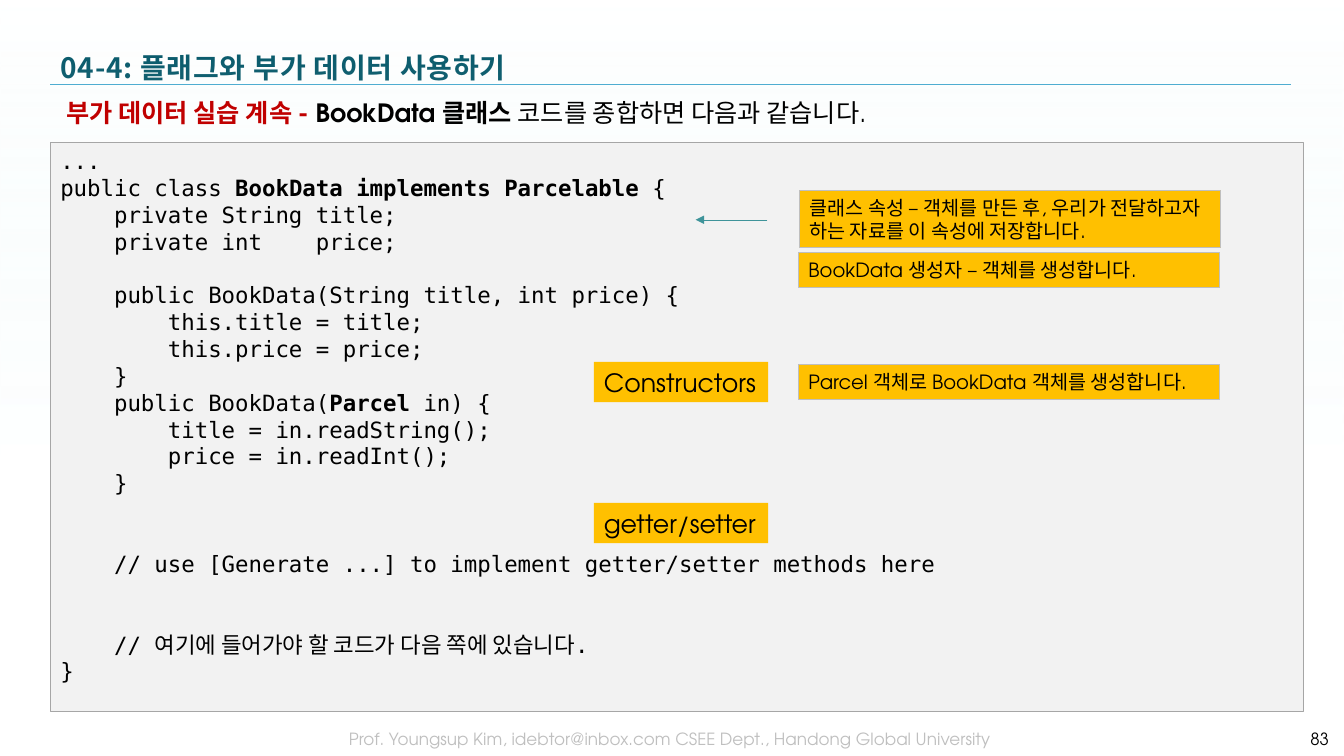
from lxml.etree import SubElement
from pptx import Presentation
from pptx.dml.color import RGBColor
from pptx.enum.shapes import MSO_CONNECTOR, MSO_SHAPE
from pptx.enum.text import MSO_ANCHOR, PP_ALIGN
from pptx.oxml.ns import qn
from pptx.util import Inches, Pt

COLORS = {
    "black": "000000", "white": "FFFFFF", "mint": "D9F3F4", "teal": "005466",
    "rule": "4FADD1", "arrow": "3F949A", "red": "C00000", "amber": "FFC000",
    "panel": "F2F2F2", "panel_edge": "A6A6A6", "silver": "BFBFBF",
}
BODY_FONT = "TeX Gyre Adventor"
CODE_FONT = "DejaVu Sans Mono"
KOREAN_FONT = "Noto Sans CJK KR"


def style(run, size, color="black", bold=False, font=BODY_FONT):
    run.font.size = Pt(size)
    run.font.bold = bold
    run.font.color.rgb = RGBColor.from_string(COLORS[color])
    run.font.name = font
    SubElement(run.font._element, qn("a:ea"), typeface=KOREAN_FONT)


def add_box(left, top, width, height, fill=None, edge=None):
    box = slide.shapes.add_shape(
        MSO_SHAPE.RECTANGLE, Inches(left), Inches(top), Inches(width), Inches(height))
    box.shadow.inherit = False
    if fill:
        box.fill.solid()
        box.fill.fore_color.rgb = RGBColor.from_string(COLORS[fill])
    else:
        box.fill.background()
    if edge:
        box.line.color.rgb = RGBColor.from_string(COLORS[edge])
        box.line.width = Pt(0.75)
    else:
        box.line.fill.background()
    frame = box.text_frame
    frame.word_wrap = True
    frame.vertical_anchor = MSO_ANCHOR.TOP
    frame.paragraphs[0].alignment = PP_ALIGN.LEFT
    return box


prs = Presentation()
prs.slide_width = Inches(13.33)
prs.slide_height = Inches(7.5)
slide = prs.slides.add_slide(prs.slide_layouts[5])

backdrop = add_box(0, 0, 13.33, 7.5)
backdrop.fill.gradient()
backdrop.fill.gradient_angle = 270
stops = [(0, "mint", 0), (0.61, "white", 40000)]
for stop, (position, color, alpha) in zip(backdrop.fill.gradient_stops, stops):
    stop.position = position
    stop.color.rgb = RGBColor.from_string(COLORS[color])
for srgb, (position, color, alpha) in zip(
        backdrop._element.spPr.iter(qn("a:srgbClr")), stops):
    SubElement(srgb, qn("a:alpha"), val=str(alpha))

title = slide.shapes.title
title.left, title.top = Inches(0.5), Inches(0.42)
title.width, title.height = Inches(12.3), Inches(0.5)
title.text_frame.text = "04-4: 플래그와 부가 데이터 사용하기"
title.text_frame.vertical_anchor = MSO_ANCHOR.MIDDLE
heading = title.text_frame.paragraphs[0]
heading.alignment = PP_ALIGN.LEFT
style(heading.runs[0], 20, "teal", True, KOREAN_FONT)
heading.runs[0].font._element.set("spc", "50")

summary = add_box(0.5, 0.92, 12.31, 0.46).text_frame.paragraphs[0]
summary._p.get_or_add_pPr().set("marL", str(Inches(0.06)))
for text, color, bold in [
    ("부가 데이터 실습 계속 - ", "red", True),
    ("BookData 클래스 ", "black", True),
    ("코드를 종합하면 다음과 같습니다.", "black", False),
]:
    run = summary.add_run()
    run.text = text
    style(run, 18, color, bold)

code_lines = [
    ["..."],
    ["public class ", "BookData implements Parcelable ", "{"],
    ["    private String title;"],
    ["    private int    price;"],
    [],
    ["    public BookData(String title, int price) {"],
    ["        this.title = title;"],
    ["        this.price = price;"],
    ["    }"],
    ["    public BookData(", "Parcel", " in) {"],
    ["        title = in.readString();"],
    ["        price = in.readInt();"],
    ["    }"],
    [],
    [],
    ["    // use [Generate ...] to implement getter/setter methods here"],
    [],
    [],
    ["    // 여기에 들어가야 할 코드가 다음 쪽에 있습니다."],
    ["}"],
]
code = add_box(0.5, 1.41, 12.43, 5.65, "panel", "panel_edge").text_frame
for index, pieces in enumerate(code_lines):
    line = code.add_paragraph() if index else code.paragraphs[0]
    line.alignment = PP_ALIGN.LEFT
    line.line_spacing = Pt(19.2)
    for position, text in enumerate(pieces):
        run = line.add_run()
        run.text = text
        style(run, 16, bold=position == 1, font=CODE_FONT)
    if not pieces:
        SubElement(line._p, qn("a:endParaRPr"), sz="1600")

for left, top, width, height, size, edge, text in [
    (7.93, 1.89, 4.18, 0.57, 14, "silver",
     "클래스 속성 – 객체를 만든 후, 우리가 전달하고자 하는 자료를 이 속성에 저장합니다."),
    (7.92, 3.62, 4.18, 0.34, 14, "silver", "Parcel 객체로 BookData 객체를 생성합니다."),
    (7.92, 2.51, 4.18, 0.34, 14, "silver", "BookData 생성자 – 객체를 생성합니다."),
    (5.89, 3.59, 1.73, 0.4, 18, None, "Constructors"),
    (5.89, 4.99, 1.73, 0.4, 18, None, "getter/setter"),
]:
    note = add_box(left, top, width, height, "amber", edge).text_frame
    note.word_wrap = edge is not None
    note.paragraphs[0].text = text
    style(note.paragraphs[0].runs[0], size)

for start, end, y, color in [(0.5, 12.8, 0.84, "rule"), (7.61, 6.9, 2.18, "arrow")]:
    stroke = slide.shapes.add_connector(
        MSO_CONNECTOR.STRAIGHT, Inches(start), Inches(y), Inches(end), Inches(y))
    stroke.line.color.rgb = RGBColor.from_string(COLORS[color])
    stroke.line.width = Pt(0.25)
    if color == "arrow":
        SubElement(stroke.line._get_or_add_ln(), qn("a:tailEnd"), type="triangle")
    SubElement(stroke._element.spPr, qn("a:effectLst"))

for left, top, width, height, color, align, text in [
    (2.43, 7.15, 8.43, 0.36, "silver", PP_ALIGN.CENTER,
     "Prof. Youngsup Kim, idebtor@inbox.com CSEE Dept., Handong Global University"),
    (12.11, 7.13, 1.17, 0.4, "black", PP_ALIGN.RIGHT, "83"),
]:
    footer = add_box(left, top, width, height).text_frame
    footer.vertical_anchor = MSO_ANCHOR.MIDDLE
    footer.text = text
    footer.paragraphs[0].alignment = align
    style(footer.paragraphs[0].runs[0], 12, color)

prs.save("out.pptx")
